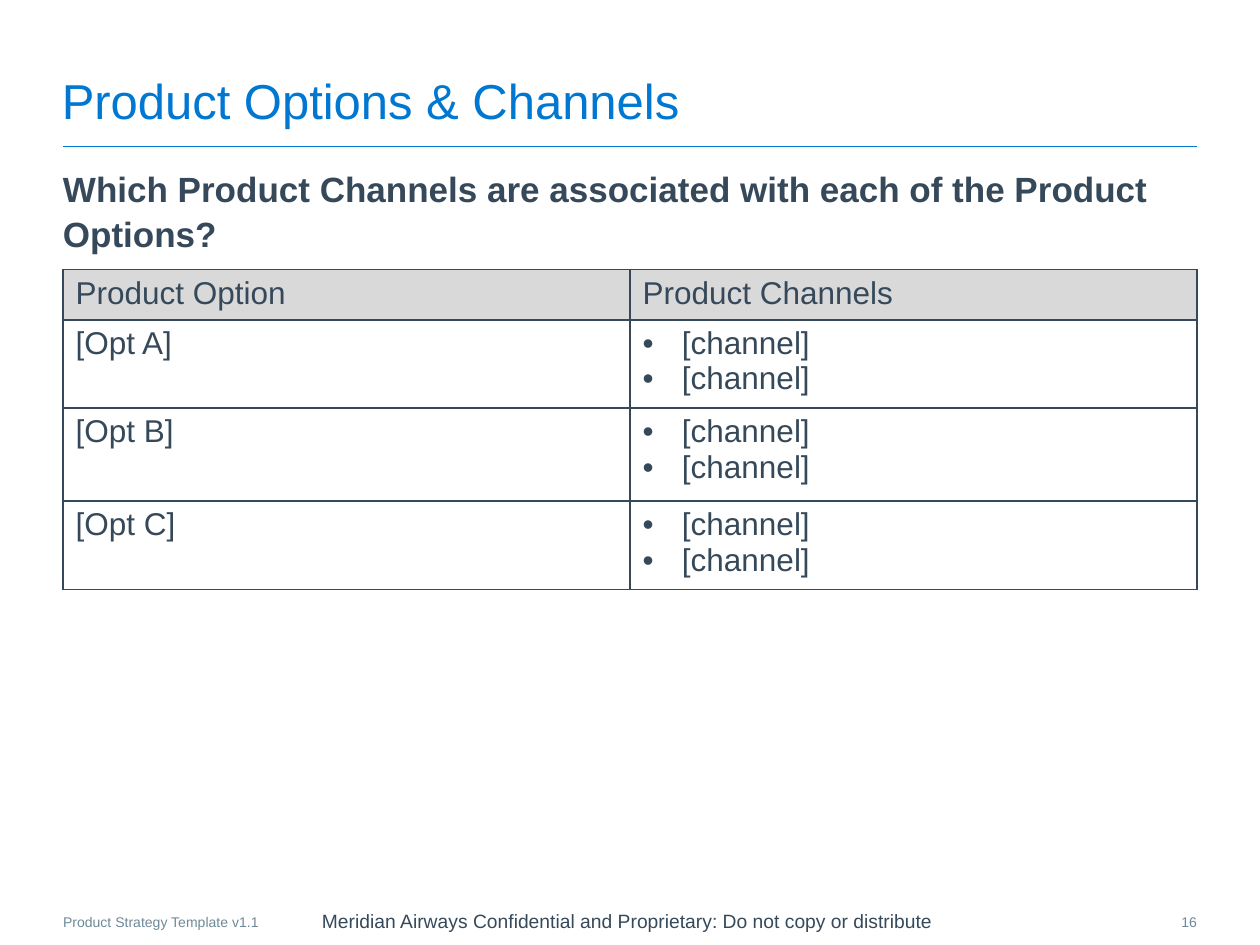
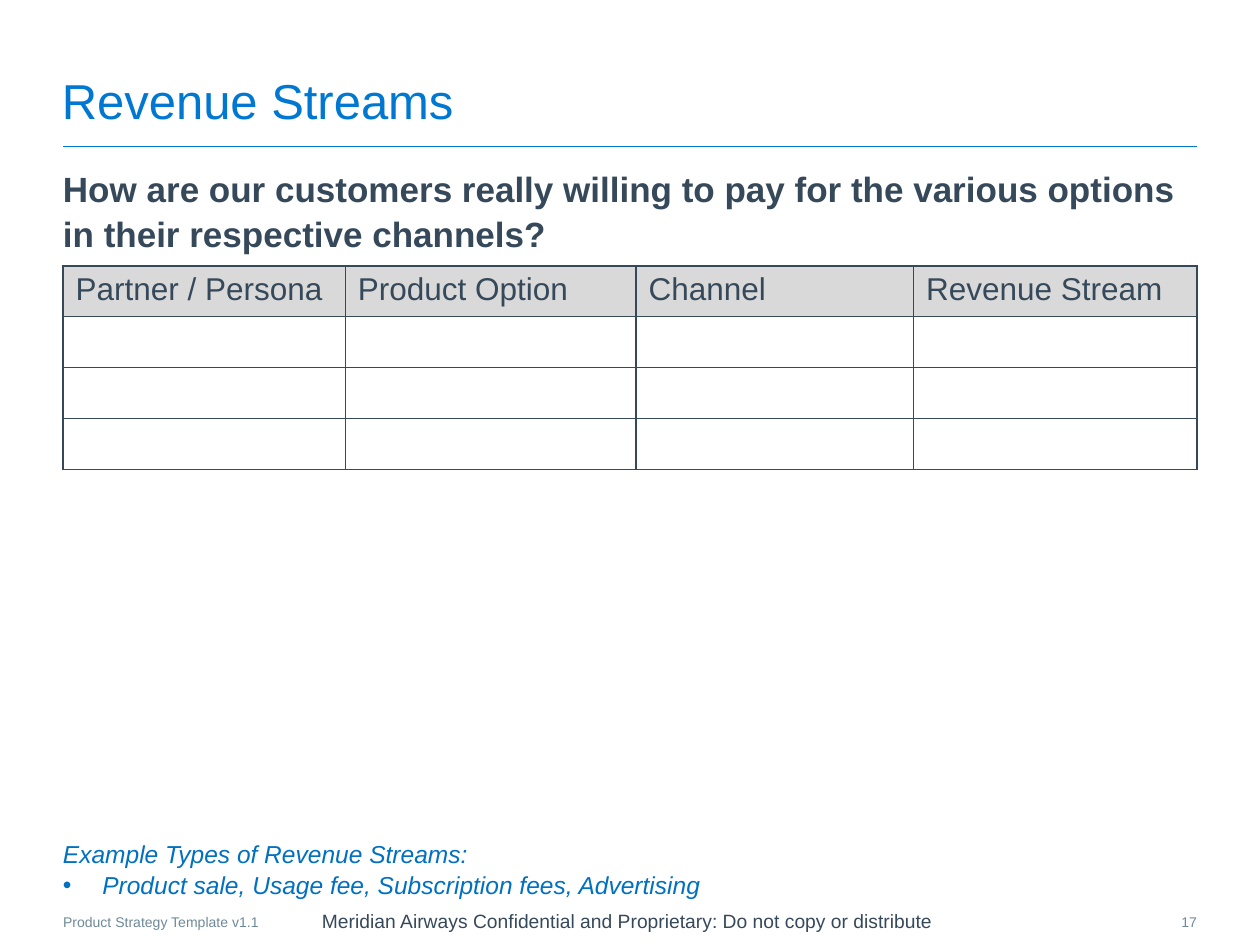
from lxml.etree import SubElement
from pptx import Presentation
from pptx.dml.color import RGBColor
from pptx.enum.shapes import MSO_CONNECTOR as Connector
from pptx.enum.text import MSO_ANCHOR as Anchor, PP_ALIGN as Align
from pptx.oxml.ns import qn
from pptx.util import Pt

BLUE = RGBColor(0x00, 0x78, 0xD2)
NOTE_BLUE = RGBColor(0x00, 0x70, 0xC0)
SLATE = RGBColor(0x36, 0x49, 0x5A)
MUTED = RGBColor(0x6E, 0x89, 0x99)
HEADER_GRAY = RGBColor(0xD9, 0xD9, 0xD9)

FONT = "Arial"
WIDTH, HEIGHT = 720, 540
LEFT, RIGHT = 36, 684
RULE_TOP = 83.52
BULLET_INDENT = 22.5

TITLE = {"size": 28, "color": BLUE}
QUESTION = {"size": 20, "color": SLATE, "bold": True}
TABLE_TEXT = {"size": 18, "color": SLATE}
NOTE = {"size": 14, "color": NOTE_BLUE, "italic": True}
FOOTER = {"size": 8, "color": MUTED}
CONFIDENTIAL = {"size": 11, "color": SLATE}

VERSION_TEXT = "Product Strategy Template v1.1"
CONFIDENTIAL_TEXT = "Meridian Airways Confidential and Proprietary: Do not copy or distribute"

CHANNELS = ["• [channel]", "• [channel]"]

SLIDES = [
    {
        "number": 16,
        "title": "Product Options & Channels",
        "question": "Which Product Channels are associated with each of the Product Options?",
        "table_top": 153.9,
        "columns": [324, 324],
        "row_heights": [27.4, 47.5, 53.2, 47.5],
        "rows": [
            [["Product Option"], ["Product Channels"]],
            [["[Opt A]"], CHANNELS],
            [["[Opt B]"], CHANNELS],
            [["[Opt C]"], CHANNELS],
        ],
        "note": [],
    },
    {
        "number": 17,
        "title": "Revenue Streams",
        "question": "How are our customers really willing to pay for the various options "
                    "in their respective channels?",
        "table_top": 151.9,
        "columns": [161.3, 166.2, 158.5, 162],
        "row_heights": [27.2, 29.2, 29.2, 29.2],
        "rows": [
            [["Partner / Persona"], ["Product Option"], ["Channel"], ["Revenue Stream"]],
            *[[[]] * 4] * 3,
        ],
        "note": [
            "Example Types of Revenue Streams:",
            "• Product sale, Usage fee, Subscription fees, Advertising",
        ],
    },
]


def add_bullet(para):
    properties = para._p.get_or_add_pPr()
    properties.set("marL", str(Pt(BULLET_INDENT)))
    properties.set("indent", str(-Pt(BULLET_INDENT)))
    SubElement(properties, qn("a:buFont")).set("typeface", FONT)
    SubElement(properties, qn("a:buChar")).set("char", "•")


def write(frame, lines, style, align=Align.LEFT, spacing=None):
    for index, line in enumerate(lines):
        para = frame.paragraphs[0] if index == 0 else frame.add_paragraph()
        para.alignment = align
        if spacing:
            para.line_spacing = spacing
        if line.startswith("• "):
            add_bullet(para)
        span = para.add_run()
        span.text = line.removeprefix("• ")
        span.font.color.rgb = style["color"]
        values = {"name": FONT, "size": Pt(style["size"]),
                  "bold": style.get("bold", False), "italic": style.get("italic", False)}
        for name, value in values.items():
            setattr(span.font, name, value)


def add_text(page, place, lines, style, align=Align.LEFT, anchor=Anchor.TOP,
             wrap=True, spacing=None):
    frame = page.shapes.add_textbox(*map(Pt, place)).text_frame
    values = {"margin_left": 0, "margin_right": 0, "margin_top": 0, "margin_bottom": 0,
              "word_wrap": wrap, "vertical_anchor": anchor}
    for name, value in values.items():
        setattr(frame, name, value)
    write(frame, lines, style, align, spacing)


def add_frame(page, content):
    rule = page.shapes.add_connector(
        Connector.STRAIGHT, Pt(LEFT), Pt(RULE_TOP), Pt(RIGHT), Pt(RULE_TOP))
    rule.line.color.rgb = BLUE
    rule.line.width = Pt(0.5)
    SubElement(rule._element.spPr, qn("a:effectLst"))

    add_text(page, (144.7, 517, 427.7, 18.7), [CONFIDENTIAL_TEXT], CONFIDENTIAL,
             Align.CENTER, Anchor.MIDDLE, wrap=False)
    add_text(page, (LEFT, 522, 140, 10), [VERSION_TEXT], FOOTER)
    add_text(page, (RIGHT - 25, 522, 25, 10), [str(content["number"])], FOOTER, Align.RIGHT)
    add_text(page, (35.3, 30.2, 648.7, 44), [content["title"]], TITLE, anchor=Anchor.BOTTOM)


def add_borders(cell):
    properties = cell._tc.get_or_add_tcPr()
    for position, side in enumerate(("a:lnL", "a:lnR", "a:lnT", "a:lnB")):
        border = SubElement(properties, qn(side), w=str(Pt(1)))
        fill = SubElement(border, qn("a:solidFill"))
        SubElement(fill, qn("a:srgbClr"), val=str(SLATE))
        properties.insert(position, border)


def add_grid(page, content):
    rows, columns, heights = content["rows"], content["columns"], content["row_heights"]
    table = page.shapes.add_table(
        len(rows), len(columns), Pt(LEFT), Pt(content["table_top"]),
        Pt(sum(columns)), Pt(sum(heights))).table
    table.horz_banding = table.first_row = False
    for column, width in zip(table.columns, columns):
        column.width = Pt(width)
    for row, height in zip(table.rows, heights):
        row.height = Pt(height)
    for row_index, row in enumerate(rows):
        for column_index, lines in enumerate(row):
            cell = table.cell(row_index, column_index)
            if row_index == 0:
                cell.fill.solid()
                cell.fill.fore_color.rgb = HEADER_GRAY
            else:
                cell.fill.background()
            add_borders(cell)
            write(cell.text_frame, lines, TABLE_TEXT)


def main():
    deck = Presentation()
    deck.slide_width, deck.slide_height = Pt(WIDTH), Pt(HEIGHT)
    for content in SLIDES:
        page = deck.slides.add_slide(deck.slide_layouts[6])
        add_frame(page, content)
        add_text(page, (LEFT, 94, RIGHT - LEFT, 50), [content["question"]], QUESTION,
                 spacing=1.07)
        add_grid(page, content)
        if content["note"]:
            add_text(page, (LEFT, 478.2, RIGHT - LEFT, 35), content["note"], NOTE,
                     spacing=1.07)
    deck.save("out.pptx")


if __name__ == "__main__":
    main()
